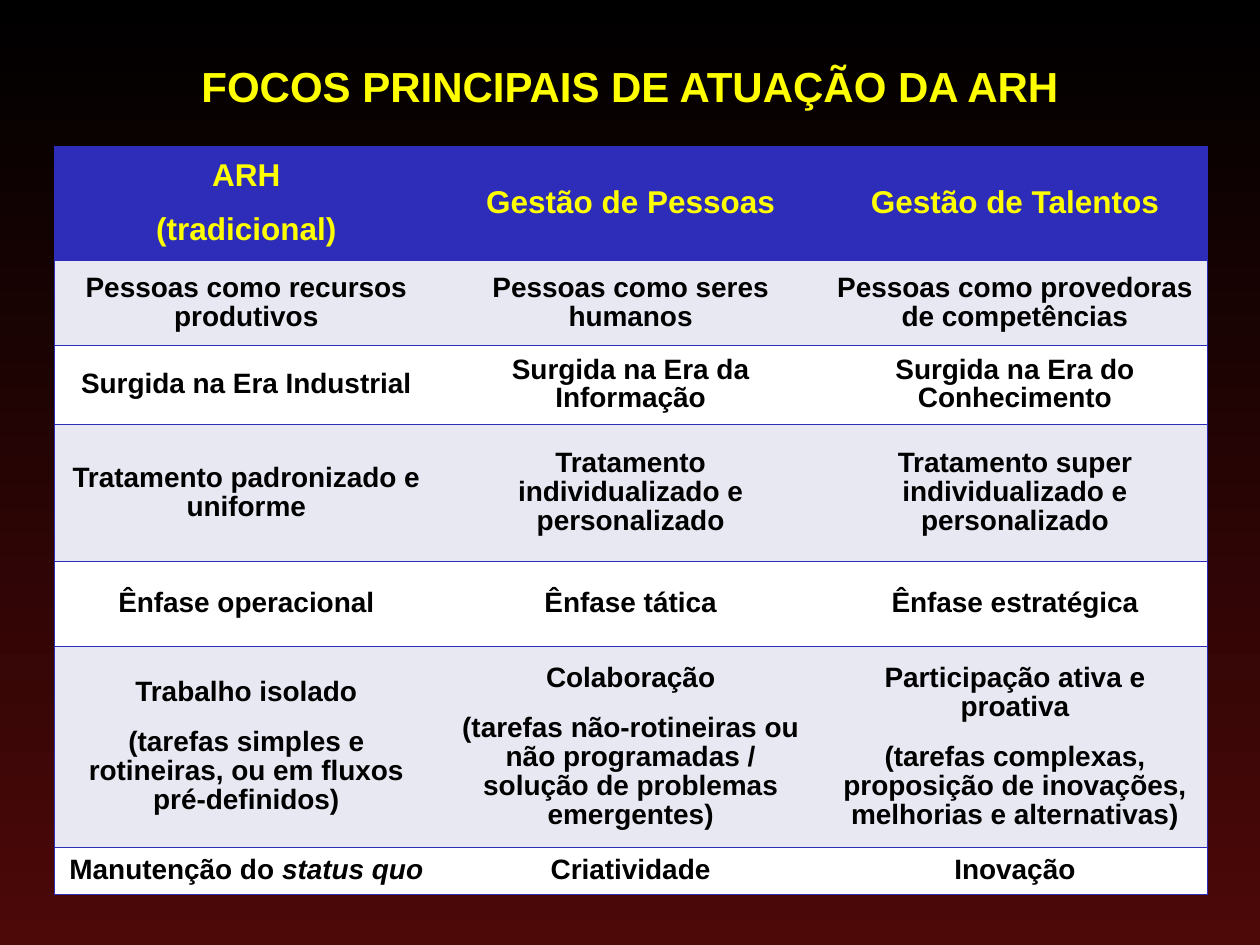
import lxml.etree
import pptx
import pptx.dml.color
import pptx.enum.text
import pptx.oxml.ns
import pptx.util

Inches = pptx.util.Inches
Pt = pptx.util.Pt

BLUE = "2D2DB9"
YELLOW = "FFFF00"
BLACK = "000000"
DARK_RED = "4D0808"
LAVENDER = "E8E8F3"
WHITE = "FFFFFF"

TITLE = "FOCOS PRINCIPAIS DE ATUAÇÃO DA ARH"
COLUMN_WIDTH = 3.05
ROW_HEIGHTS = [0.91, 0.67, 0.63, 1.09, 0.67, 1.6, 0.37]

# A cell is a list of paragraphs; a paragraph is a list of (text, italic) runs.


def plain(*paragraphs):
    """Return cell content with one upright run per paragraph."""
    return [[(text, False)] for text in paragraphs]


ROWS = [
    [plain("ARH", "(tradicional)"),
     plain("Gestão de Pessoas"),
     plain("Gestão de Talentos")],
    [plain("Pessoas como recursos produtivos"),
     plain("Pessoas como seres humanos"),
     plain("Pessoas como provedoras de competências")],
    [plain("Surgida na Era Industrial"),
     plain("Surgida na Era da Informação"),
     plain("Surgida na Era do Conhecimento")],
    [plain("Tratamento padronizado e uniforme"),
     plain("Tratamento individualizado e personalizado"),
     plain("Tratamento super individualizado e personalizado")],
    [plain("Ênfase operacional"),
     plain("Ênfase tática"),
     plain("Ênfase estratégica")],
    [plain("Trabalho isolado",
           "(tarefas simples e rotineiras, ou em fluxos pré-definidos)"),
     plain("Colaboração",
           "(tarefas não-rotineiras ou não programadas / "
           "solução de problemas emergentes)"),
     plain("Participação ativa e proativa",
           "(tarefas complexas, proposição de inovações, "
           "melhorias e alternativas)")],
    [[[("Manutenção do ", False), ("status quo", True)]],
     plain("Criatividade"),
     plain("Inovação")],
]


def color(hex_string):
    return pptx.dml.color.RGBColor.from_string(hex_string)


class SlideBuilder:
    font = "Arial"
    border_width = 0.45

    def __init__(self, slide):
        self.slide = slide

    def background(self, top, bottom):
        fill = self.slide.background.fill
        fill.gradient()
        fill.gradient_angle = 270
        for stop, hex_string in zip(fill.gradient_stops, (top, bottom)):
            stop.color.rgb = color(hex_string)

    def run(self, paragraph, text, size, hex_string, italic=False):
        run = paragraph.add_run()
        run.text = text
        run.font.name = self.font
        run.font.size = Pt(size)
        run.font.bold = True
        run.font.italic = italic
        run.font.color.rgb = color(hex_string)

    def title(self, text, left, top, width, height):
        shape = self.slide.shapes.add_textbox(
            Inches(left), Inches(top), Inches(width), Inches(height))
        frame = shape.text_frame
        frame.word_wrap = True
        frame.vertical_anchor = pptx.enum.text.MSO_ANCHOR.MIDDLE
        paragraph = frame.paragraphs[0]
        paragraph.alignment = pptx.enum.text.PP_ALIGN.CENTER
        self.run(paragraph, text, 24, YELLOW)

    def borders(self, cell, visible_sides):
        """Draw the named sides (L, R, T, B) and clear the others."""
        properties = cell._tc.get_or_add_tcPr()
        qn = pptx.oxml.ns.qn
        for side in "LRTB":
            line = lxml.etree.SubElement(properties, qn("a:ln" + side))
            if side in visible_sides:
                line.set("w", str(int(Pt(self.border_width))))
                fill = lxml.etree.SubElement(line, qn("a:solidFill"))
                lxml.etree.SubElement(fill, qn("a:srgbClr"), val=BLUE)
            else:
                line.set("w", "0")
                lxml.etree.SubElement(line, qn("a:noFill"))

    def cell(self, cell, paragraphs, size, text_color, fill_color, sides):
        self.borders(cell, sides)
        cell.fill.solid()
        cell.fill.fore_color.rgb = color(fill_color)
        cell.vertical_anchor = pptx.enum.text.MSO_ANCHOR.MIDDLE
        frame = cell.text_frame
        for index, runs in enumerate(paragraphs):
            paragraph = frame.add_paragraph() if index else frame.paragraphs[0]
            paragraph.alignment = pptx.enum.text.PP_ALIGN.CENTER
            paragraph.line_spacing = 0.93
            paragraph.space_before = paragraph.space_after = Pt(6)
            for text, italic in runs:
                self.run(paragraph, text, size, text_color, italic)

    def table(self, rows, left, top, column_width, row_heights):
        column_count = len(rows[0])
        table = self.slide.shapes.add_table(
            len(rows), column_count, Inches(left), Inches(top),
            Inches(column_width * column_count),
            Inches(sum(row_heights))).table
        table.horz_banding = False
        for column in table.columns:
            column.width = Inches(column_width)
        for row_index, contents in enumerate(rows):
            table.rows[row_index].height = Inches(row_heights[row_index])
            if row_index == 0:
                style = 18, YELLOW, BLUE
            else:
                style = 16, BLACK, LAVENDER if row_index % 2 else WHITE
            for column_index, paragraphs in enumerate(contents):
                sides = "TB"
                if column_index == 0:
                    sides += "L"
                if column_index == column_count - 1:
                    sides += "R"
                self.cell(table.cell(row_index, column_index), paragraphs,
                          *style, sides)


def main():
    presentation = pptx.Presentation()
    presentation.slide_width = Inches(10)
    presentation.slide_height = Inches(7.5)
    slide = presentation.slides.add_slide(presentation.slide_layouts[6])
    builder = SlideBuilder(slide)
    builder.background(BLACK, DARK_RED)
    builder.title(TITLE, 0.75, 0.36, 8.5, 0.64)
    builder.table(ROWS, 0.43, 1.16, COLUMN_WIDTH, ROW_HEIGHTS)
    presentation.save("out.pptx")


if __name__ == "__main__":
    main()
